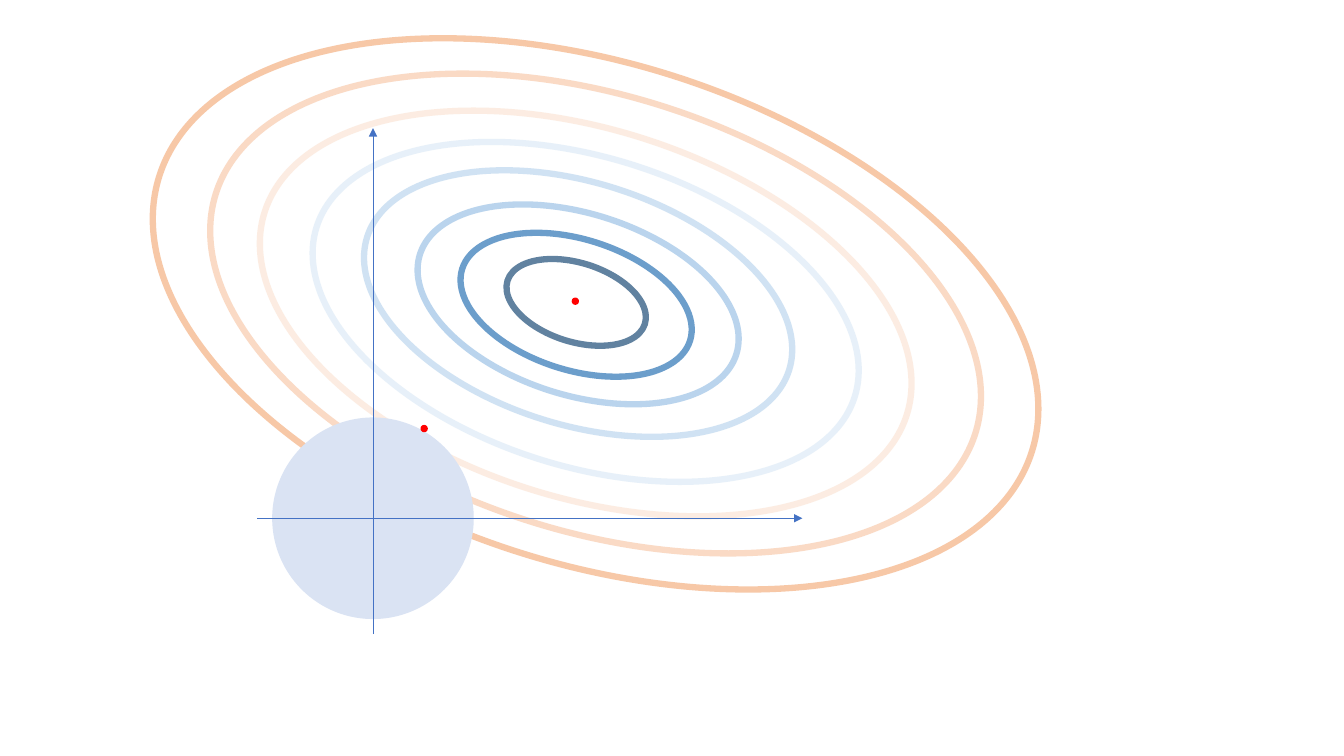
from lxml import etree
from pptx import Presentation
from pptx.dml.color import RGBColor
from pptx.enum.shapes import MSO_CONNECTOR, MSO_SHAPE
from pptx.oxml.ns import qn
from pptx.util import Cm, Pt

OVAL = MSO_SHAPE.OVAL
STRAIGHT = MSO_CONNECTOR.STRAIGHT

COLORS = {
    "axis": "4472C4",
    "disc": "DAE3F3",
    "dot": "FF0000",
    "level1": "1F4E79",
    "level2": "2E75B6",
    "level3": "9DC3E6",
    "level4": "BDD7EE",
    "level5": "DEEBF7",
    "level6": "FBE5D6",
    "level7": "F8CBAD",
    "level8": "F4B183",
}

# Colour, width and centre offset from the box centre, innermost first (cm)
CONTOURS = [
    ("level1", 3.63, -0.49, -0.29),
    ("level2", 6.02, -0.49, -0.23),
    ("level3", 8.36, -0.44, -0.24),
    ("level4", 11.15, -0.44, -0.26),
    ("level5", 14.22, -0.25, -0.05),
    ("level6", 16.97, -0.25, -0.01),
    ("level7", 20.07, 0, -0.01),
    ("level8", 23.06, 0, 0),
]
CONTOUR_TILT = 17.5
CONTOUR_OPACITY = 70
DISC_SIZE = 5.08
DOT_SIZE = 0.15


def rgb(name):
    return RGBColor.from_string(COLORS[name])


def add_ellipse(shapes, cx, cy, width, height, fill=None, line=None, weight=1):
    """Add an ellipse centred on (cx, cy)."""
    sp = shapes.add_shape(OVAL, Cm(cx - width / 2), Cm(cy - height / 2),
                          Cm(width), Cm(height))
    sp.shadow.inherit = False
    if fill:
        sp.fill.solid()
        sp.fill.fore_color.rgb = rgb(fill)
    else:
        sp.fill.background()
    if line:
        sp.line.color.rgb = rgb(line)
        sp.line.width = Pt(weight)
    else:
        sp.line.fill.background()
    return sp


def add_axis(shapes, x1, y1, x2, y2):
    axis = shapes.add_connector(STRAIGHT, Cm(x1), Cm(y1), Cm(x2), Cm(y2))
    axis.line.color.rgb = rgb("axis")
    axis.line.width = Pt(0.5)
    ln = axis.line._get_or_add_ln()
    etree.SubElement(ln, qn("a:tailEnd"), type="triangle")
    etree.SubElement(axis._element.spPr, qn("a:effectLst"))


def draw_contours(slide, left, top, width, height):
    """Draw the tilted level curves as one group."""
    group = slide.shapes.add_group_shape()
    cx, cy = left + width / 2, top + height / 2
    for color, size, dx, dy in CONTOURS:
        sp = add_ellipse(group.shapes, cx + dx, cy + dy, size,
                         size * height / width, line=color, weight=4.5)
        sp.rotation = CONTOUR_TILT
        srgb = sp.line._get_or_add_ln().find(".//" + qn("a:srgbClr"))
        etree.SubElement(srgb, qn("a:alpha"), val=str(CONTOUR_OPACITY * 1000))


def draw_constraint(slide, left, top, width, height):
    """Draw the constraint disc and the axes crossing at its centre."""
    x0, y0 = left + 2.92, top + 9.83
    add_ellipse(slide.shapes, x0, y0, DISC_SIZE, DISC_SIZE, fill="disc")
    add_axis(slide.shapes, left, y0, left + width, y0)
    add_axis(slide.shapes, x0, top + height, x0, top)


def draw_optima(slide, left, top, width, height):
    """Mark the constrained and free optima at opposite corners of the box."""
    for x, y in ((left, top + height), (left + width, top)):
        add_ellipse(slide.shapes, x, y, DOT_SIZE, DOT_SIZE,
                    fill="dot", line="dot")


def main():
    prs = Presentation()
    prs.slide_width, prs.slide_height = Cm(33.87), Cm(19.05)
    slide = prs.slides.add_slide(prs.slide_layouts[6])
    draw_contours(slide, 3.48, 1.6, 23.06, 12.62)
    draw_constraint(slide, 6.48, 3.23, 13.74, 12.75)
    draw_optima(slide, 10.69, 7.59, 3.81, 3.21)
    prs.save("out.pptx")


if __name__ == "__main__":
    main()
